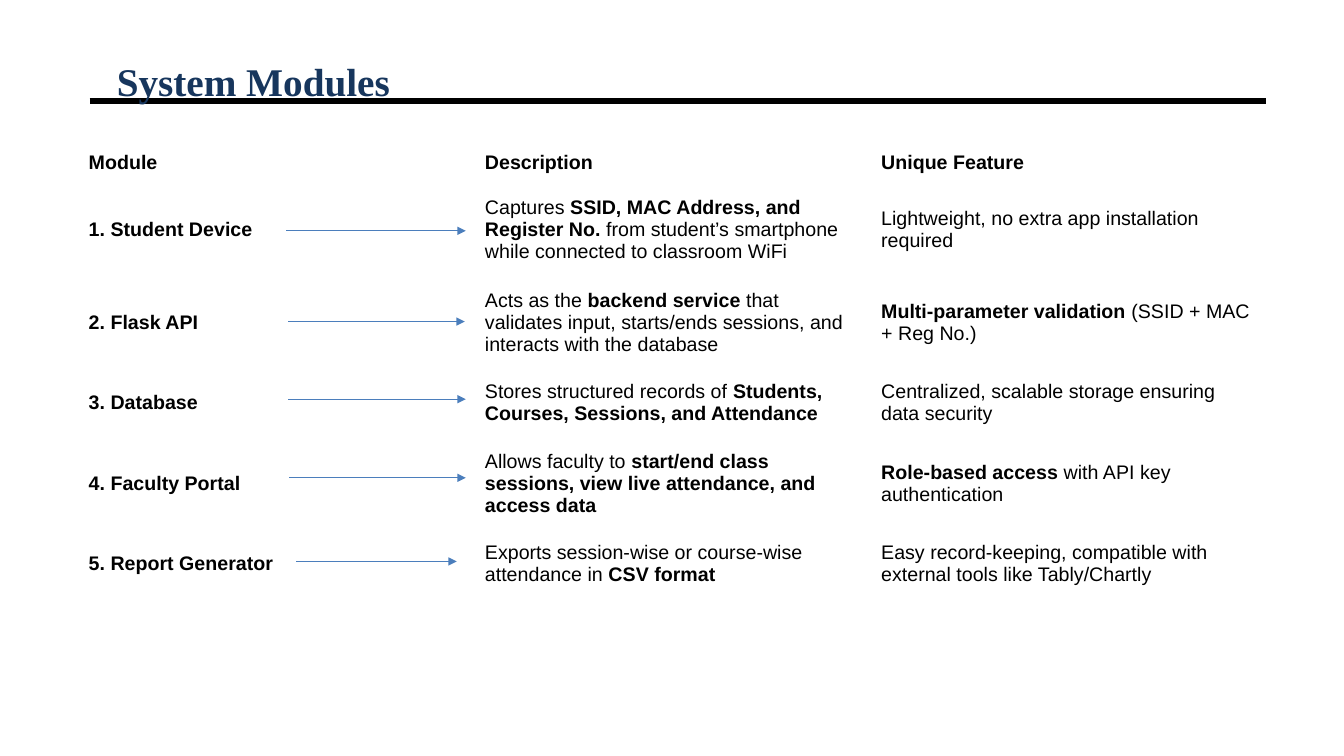
from lxml.etree import SubElement
from pptx import Presentation
from pptx.dml.color import RGBColor
from pptx.enum.shapes import MSO_CONNECTOR as Connector
from pptx.enum.text import MSO_ANCHOR as Anchor
from pptx.oxml.ns import qn
from pptx.util import Inches, Pt

BLACK = RGBColor(0x00, 0x00, 0x00)
NAVY = RGBColor(0x17, 0x36, 0x5D)
BLUE = RGBColor(0x4B, 0x7E, 0xBC)

# Text between double asterisks is bold
MODULE_ROWS = [
    ("**Module**", "**Description**", "**Unique Feature**"),
    ("**1. Student Device**",
     "Captures **SSID, MAC Address, and Register No.** from student’s "
     "smartphone while connected to classroom WiFi",
     "Lightweight, no extra app installation required"),
    ("**2. Flask API**",
     "Acts as the **backend service** that validates input, starts/ends "
     "sessions, and interacts with the database",
     "**Multi-parameter validation** (SSID + MAC + Reg No.)"),
    ("**3. Database**",
     "Stores structured records of **Students, Courses, Sessions, and Attendance**",
     "Centralized, scalable storage ensuring data security"),
    ("**4. Faculty Portal**",
     "Allows faculty to **start/end class sessions, view live attendance, "
     "and access data**",
     "**Role-based access** with API key authentication"),
    ("**5. Report Generator**",
     "Exports session-wise or course-wise attendance in **CSV format**",
     "Easy record-keeping, compatible with external tools like Tably/Chartly"),
]
ROW_HEIGHTS = [0.39, 0.93, 0.93, 0.66, 0.93, 0.66]
COLUMN_WIDTH = 3.93

# Start x, end x and y of the arrow beside each module
ARROWS = [
    (2.84, 4.62, 2.29),
    (2.86, 4.61, 3.19),
    (2.86, 4.62, 3.96),
    (2.87, 4.62, 4.74),
    (2.94, 4.53, 5.57),
]


def add_run(paragraph, text, font_name, size, color, bold):
    run = paragraph.add_run()
    run.text = text
    run.font.name = font_name
    run.font.size = Pt(size)
    run.font.color.rgb = color
    run.font.bold = bold


def add_title(slide, text):
    box = slide.shapes.add_textbox(Inches(0.89), Inches(0.3), Inches(11.67), Inches(0.53))
    frame = box.text_frame
    frame.word_wrap = True
    frame.vertical_anchor = Anchor.MIDDLE
    paragraph = frame.paragraphs[0]
    paragraph.line_spacing = 2.0
    paragraph._p.get_or_add_pPr().set("marL", str(Inches(0.17)))
    add_run(paragraph, text, "Times New Roman", 28, NAVY, True)


def add_line(slide, start_x, end_x, y, color, width, arrow=False):
    line = slide.shapes.add_connector(
        Connector.STRAIGHT, Inches(start_x), Inches(y), Inches(end_x), Inches(y))
    line.line.color.rgb = color
    line.line.width = Pt(width)
    if arrow:
        SubElement(line.line._get_or_add_ln(), qn("a:tailEnd"), type="triangle")
    SubElement(line._element.spPr, qn("a:effectLst"))


def fill_cell(cell, marked_text):
    cell.fill.background()
    cell.vertical_anchor = Anchor.MIDDLE
    paragraph = cell.text_frame.paragraphs[0]
    for index, part in enumerate(marked_text.split("**")):
        if part:
            add_run(paragraph, part, "Arial", 14, BLACK, index % 2 == 1)


def add_module_table(slide):
    column_count = len(MODULE_ROWS[0])
    frame = slide.shapes.add_table(
        len(MODULE_ROWS), column_count, Inches(0.78), Inches(1.42),
        Inches(COLUMN_WIDTH * column_count), Inches(sum(ROW_HEIGHTS)))
    table = frame.table
    table.first_row = False
    table.horz_banding = False
    for column in table.columns:
        column.width = Inches(COLUMN_WIDTH)
    for row, height, texts in zip(table.rows, ROW_HEIGHTS, MODULE_ROWS):
        row.height = Inches(height)
        for cell, text in zip(row.cells, texts):
            fill_cell(cell, text)


def main():
    presentation = Presentation()
    presentation.slide_width = Inches(13.33)
    presentation.slide_height = Inches(7.5)
    slide = presentation.slides.add_slide(presentation.slide_layouts[6])

    # Heading with its rule
    add_line(slide, 0.89, 12.56, 1, BLACK, 4.5)
    add_title(slide, "System Modules")

    # Modules, each with an arrow to its description
    add_module_table(slide)
    for start_x, end_x, y in ARROWS:
        add_line(slide, start_x, end_x, y, BLUE, 0.75, arrow=True)

    presentation.save("out.pptx")


if __name__ == "__main__":
    main()
